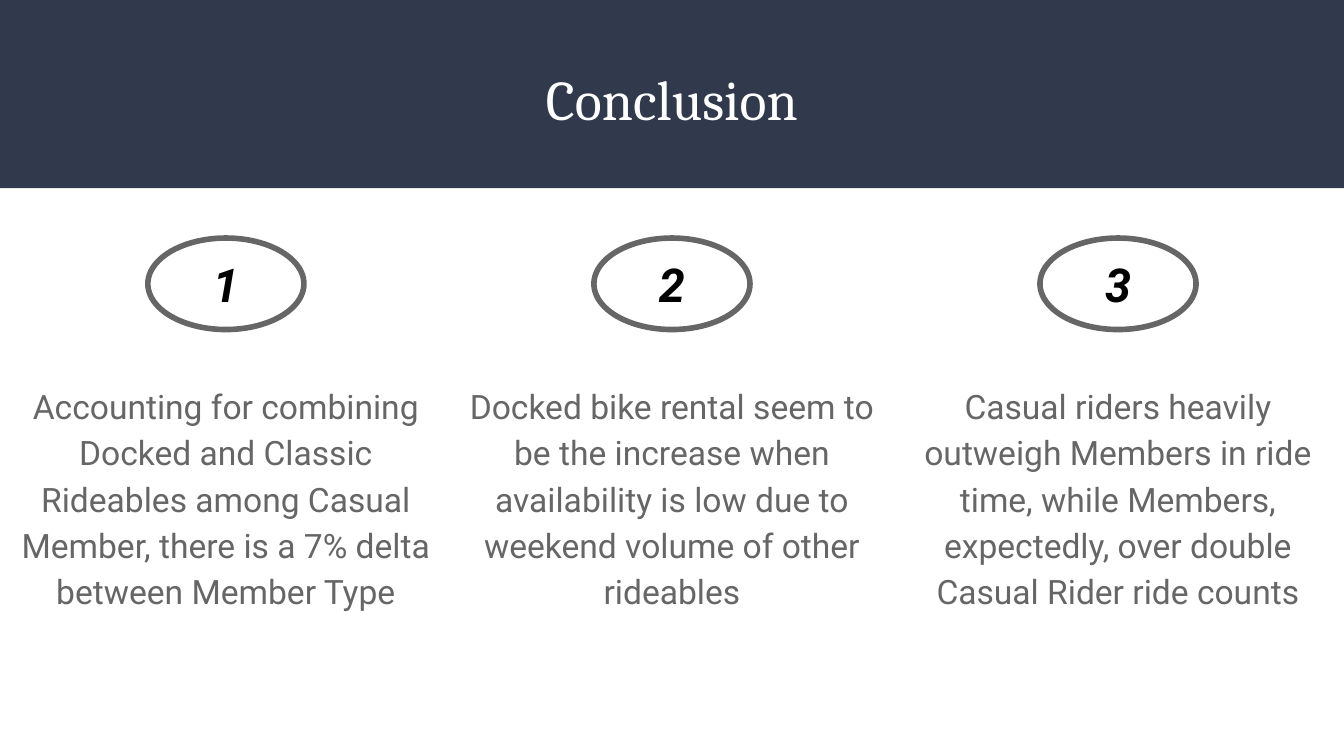
"""Build a conclusion slide with three numbered findings in equal columns."""
from dataclasses import dataclass

from pptx import Presentation
from pptx.dml.color import RGBColor
from pptx.enum.shapes import MSO_SHAPE
from pptx.enum.text import MSO_ANCHOR, PP_ALIGN
from pptx.util import Cm, Pt

RECTANGLE, OVAL = MSO_SHAPE.RECTANGLE, MSO_SHAPE.OVAL
CENTER = PP_ALIGN.CENTER
TOP, MIDDLE = MSO_ANCHOR.TOP, MSO_ANCHOR.MIDDLE

HEADING = "Conclusion"
FINDINGS = [
    "Accounting for combining Docked and Classic Rideables among Casual Member, "
    "there is a 7% delta between Member Type",
    "Docked bike rental seem to be the increase when availability is low "
    "due to weekend volume of other rideables",
    "Casual riders heavily outweigh Members in ride time, while Members, "
    "expectedly, over double Casual Rider ride counts",
]


@dataclass(frozen=True)
class Theme:
    navy: RGBColor = RGBColor(0x31, 0x39, 0x4D)
    white: RGBColor = RGBColor(0xFF, 0xFF, 0xFF)
    grey: RGBColor = RGBColor(0x66, 0x66, 0x66)
    black: RGBColor = RGBColor(0, 0, 0)
    heading_font: str = "Cambria"
    body_font: str = "Roboto"
    heading_size: int = 30
    number_size: int = 25
    body_size: int = 18
    ring_width: int = 3


THEME = Theme()
SLIDE_WIDTH, SLIDE_HEIGHT = 25.4, 14.29
BAND_HEIGHT = 3.56
HEADING_MARGIN, HEADING_TOP, HEADING_HEIGHT = 0.86, 0.97, 1.73
COLUMN_WIDTH = 8.43
FINDING_TOP, FINDING_HEIGHT = 6.93, 4.83
RING_TOP, RING_WIDTH, RING_HEIGHT = 4.5, 2.95, 1.73
INSET = 0.25


def write(shape, text, font_name, size, color, anchor=TOP, inset=INSET):
    frame = shape.text_frame
    frame.word_wrap = True
    frame.vertical_anchor = anchor
    frame.margin_left = frame.margin_right = Cm(inset)
    frame.margin_top = frame.margin_bottom = Cm(inset)
    paragraph = frame.paragraphs[0]
    paragraph.text = text
    paragraph.alignment = CENTER
    font = paragraph.font
    font.name, font.size, font.color.rgb = font_name, Pt(size), color
    return paragraph


def add_heading(slide):
    band = slide.shapes.add_shape(RECTANGLE, 0, 0, Cm(SLIDE_WIDTH), Cm(BAND_HEIGHT))
    band.shadow.inherit = False
    band.fill.solid()
    band.fill.fore_color.rgb = THEME.navy
    band.line.fill.background()
    heading = slide.shapes.add_textbox(
        Cm(HEADING_MARGIN), Cm(HEADING_TOP),
        Cm(SLIDE_WIDTH - 2 * HEADING_MARGIN), Cm(HEADING_HEIGHT))
    write(heading, HEADING, THEME.heading_font, THEME.heading_size, THEME.white)


def add_finding(slide, number, finding, center):
    ring = slide.shapes.add_shape(
        OVAL, Cm(center - RING_WIDTH / 2), Cm(RING_TOP), Cm(RING_WIDTH), Cm(RING_HEIGHT))
    ring.shadow.inherit = False
    ring.fill.background()
    ring.line.color.rgb = THEME.grey
    ring.line.width = Pt(THEME.ring_width)
    label = write(ring, str(number), THEME.body_font, THEME.number_size,
                  THEME.black, MIDDLE, inset=0)
    label.font.bold = label.font.italic = True

    body = slide.shapes.add_textbox(
        Cm(center - COLUMN_WIDTH / 2), Cm(FINDING_TOP), Cm(COLUMN_WIDTH), Cm(FINDING_HEIGHT))
    statement = write(body, finding, THEME.body_font, THEME.body_size, THEME.grey)
    statement.line_spacing = 1.15
    statement.space_after = Pt(12)


def main():
    deck = Presentation()
    deck.slide_width, deck.slide_height = Cm(SLIDE_WIDTH), Cm(SLIDE_HEIGHT)
    slide = deck.slides.add_slide(deck.slide_layouts[6])
    add_heading(slide)
    first_center = (SLIDE_WIDTH - COLUMN_WIDTH * (len(FINDINGS) - 1)) / 2
    for index, finding in enumerate(FINDINGS):
        add_finding(slide, index + 1, finding, first_center + index * COLUMN_WIDTH)
    deck.save("out.pptx")


if __name__ == "__main__":
    main()
